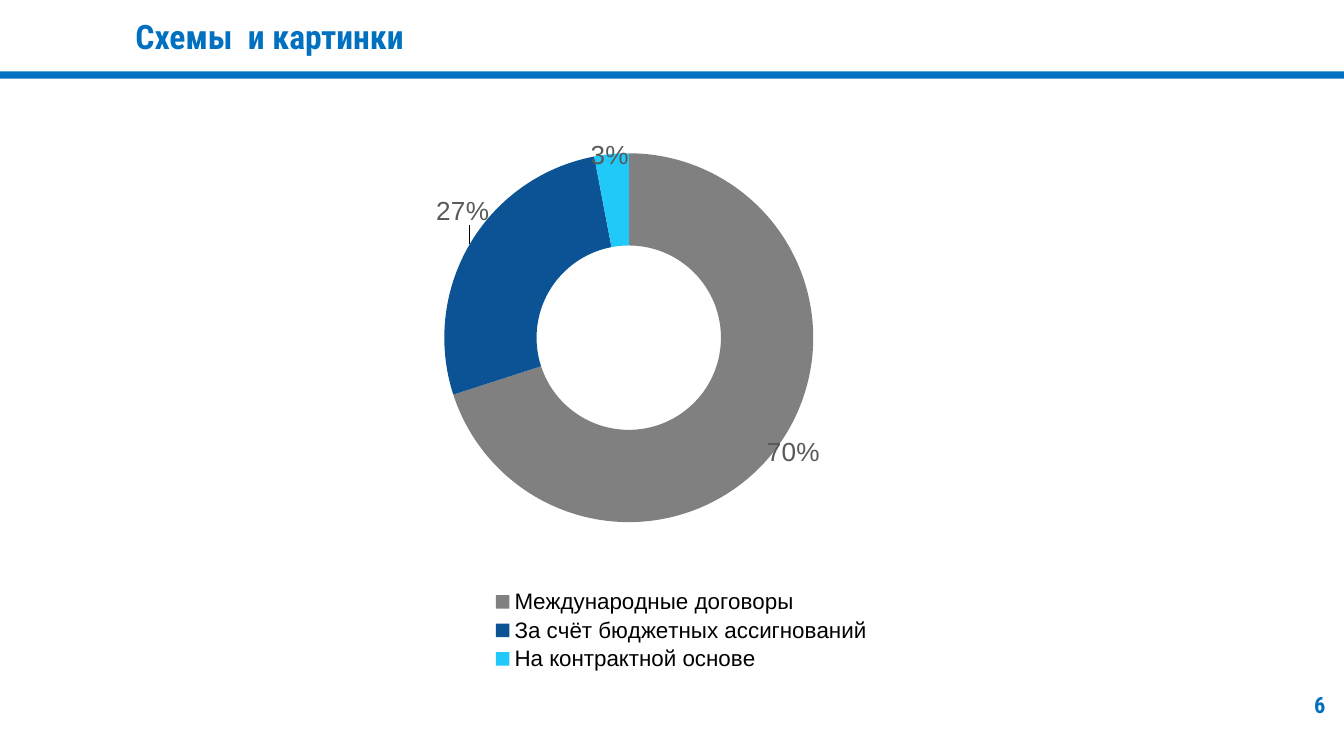
from lxml.etree import SubElement as Sub
from pptx import Presentation as Deck
from pptx.chart.data import CategoryChartData as Data
from pptx.dml.color import RGBColor as RGB
from pptx.enum.chart import XL_CHART_TYPE as Kind, XL_LEGEND_POSITION as Side
from pptx.enum.shapes import MSO_SHAPE as Shape
from pptx.enum.text import MSO_ANCHOR as Anchor, MSO_AUTO_SIZE as Fit, PP_ALIGN as Align
from pptx.oxml.ns import qn
from pptx.util import Cm, Pt

BLUE = RGB(0x00, 0x70, 0xC0)
BLACK = RGB(0x00, 0x00, 0x00)
GREY = RGB(0x59, 0x59, 0x59)
SHARES = [
    ("Международные договоры", 70, RGB(0x80, 0x80, 0x80), (0.09, 0.06)),
    ("За счёт бюджетных ассигнований", 27, RGB(0x0B, 0x53, 0x94), (-0.08, -0.1)),
    ("На контрактной основе", 3, RGB(0x20, 0xC9, 0xF8), (-0.01, -0.08)),
]


def style(font, size, color, name="Arial", bold=False):
    """Set size, colour, face and weight of a font."""
    font.size, font.name, font.bold = Pt(size), name, bold
    font.color.rgb = color


def write(box, text, size, align):
    """Fill a box with one bold blue paragraph."""
    frame = box.text_frame
    frame.word_wrap, frame.auto_size = True, Fit.NONE
    frame.vertical_anchor = Anchor.MIDDLE
    frame.margin_left = frame.margin_right = Cm(0.25)
    frame.margin_top = frame.margin_bottom = Cm(0.25)
    para = frame.paragraphs[0]
    para.text, para.alignment = text, align
    style(para.font, size, BLUE, "Roboto Condensed", True)


def add_title(slide, text):
    """Place the slide title above the rule."""
    title = slide.shapes.title
    title.left, title.top = Cm(2.31), Cm(-0.38)
    title.width, title.height = Cm(14.6), Cm(2.13)
    write(title, text, 18, Align.LEFT)


def add_rule(slide, width):
    """Draw the blue bar under the title."""
    bar = slide.shapes.add_shape(Shape.RECTANGLE, 0, Cm(1.35), width, Cm(0.14))
    bar.shadow.inherit = False
    bar.fill.solid()
    bar.fill.fore_color.rgb = BLUE
    bar.line.fill.background()


def add_number(slide, text):
    """Put the page number at the lower right."""
    box = slide.shapes.add_textbox(Cm(21.16), Cm(12.88), Cm(4.14), Cm(0.89))
    write(box, text, 12, Align.RIGHT)


def set_layout(node, index, **places):
    """Give a chart part a manual layout."""
    for old in node.findall(qn("c:layout")):
        node.remove(old)
    layout = Sub(node, qn("c:layout"))
    node.insert(index, layout)
    manual = Sub(layout, qn("c:manualLayout"))
    for tag, value in places.items():
        Sub(manual, qn(f"c:{tag}")).set("val", str(value))


def show_share(labels):
    """Show percentages only in data labels."""
    labels.find(qn("c:showVal")).set("val", "0")
    labels.find(qn("c:showPercent")).set("val", "1")


def add_ring(slide):
    """Add the doughnut chart of shares."""
    data = Data()
    data.categories = [share[0] for share in SHARES]
    data.add_series("Series 1", [share[1] for share in SHARES])
    chart = slide.shapes.add_chart(
        Kind.DOUGHNUT, Cm(7.29), Cm(2.13), Cm(11.07), Cm(10.64), data
    ).chart
    style(chart.font, 10, BLACK)
    chart.has_title = False
    plot = chart.plots[0]
    plot.vary_by_categories = True
    plot._element.find(qn("c:holeSize")).set("val", "78")
    series = plot.series[0]
    labels = series.data_labels
    style(labels.font, 14, GREY)
    labels.show_value, labels.show_percentage = False, True
    for spot, (_, _, color, (x, y)) in enumerate(SHARES):
        point = series.points[spot]
        point.format.fill.solid()
        point.format.fill.fore_color.rgb = color
        style(point.data_label.font, 14, GREY)
    tags = series._element.iter(qn("c:dLbl"))
    for tag, (_, _, _, (x, y)) in zip(list(tags), SHARES):
        set_layout(tag, 1, x=x, y=y)
        show_share(tag)
    area = chart._chartSpace.chart.plotArea
    set_layout(area, 0, layoutTarget="inner", xMode="edge", yMode="edge",
               x=0.1, y=0.06, w=0.63, h=0.68)
    add_legend(chart)


def add_legend(chart):
    """List the shares below the ring."""
    chart.has_legend = True
    legend = chart.legend
    legend.position, legend.include_in_layout = Side.BOTTOM, False
    style(legend.font, 12, BLACK)
    set_layout(legend._element, 1, xMode="edge", yMode="edge",
               x=0.17, y=0.84, w=0.67, h=0.16)


def main():
    """Build and save the slide."""
    deck = Deck()
    deck.slide_width, deck.slide_height = Cm(25.4), Cm(14.29)
    slide = deck.slides.add_slide(deck.slide_layouts[5])
    add_rule(slide, deck.slide_width)
    add_title(slide, "Схемы  и картинки")
    add_number(slide, "6")
    add_ring(slide)
    deck.save("out.pptx")


if __name__ == "__main__":
    main()
